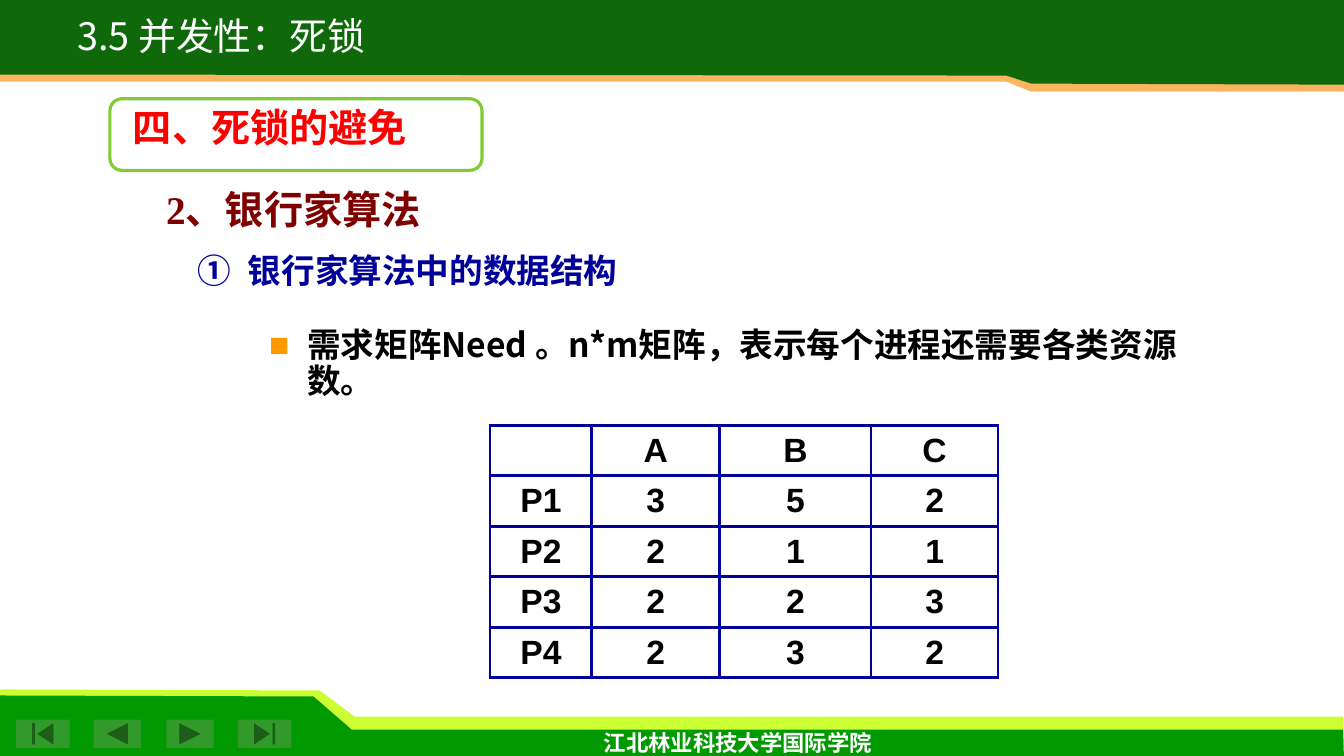
from lxml import etree
from pptx import Presentation
from pptx import util as u
from pptx.dml import color
from pptx.enum import shapes, text
from pptx.oxml import ns

SHAPE = shapes.MSO_SHAPE
SANS = "Noto Sans CJK SC"
TIMES = "Times New Roman"


def paint(part, hue, alpha=None):
    """Fill a shape, cell or font with a hex colour, with opacity in percent."""
    part.fill.solid()
    part.fill.fore_color.rgb = color.RGBColor.from_string(hue)
    if alpha:
        tint = part.element.spPr.find(ns.qn("a:solidFill"))[0]
        etree.SubElement(tint, ns.qn("a:alpha"), val=str(alpha * 1000))


def write(frame, words, hue, font, para=None):
    """Write one formatted paragraph in a frame and return its properties."""
    line = frame.paragraphs[0]
    for key, val in (para or {}).items():
        setattr(line, key, val)
    run = line.add_run()
    run.text = words
    for key, val in font.items():
        setattr(run.font, key, val)
    paint(run.font, hue)
    east = etree.SubElement(run.font.fill._xPr, ns.qn("a:ea"))
    east.set("typeface", SANS)
    latin = run.font.fill._xPr.find(ns.qn("a:latin"))
    latin.addnext(east)
    return line._p.get_or_add_pPr()


deck = Presentation()
deck.slide_width, deck.slide_height = u.Inches(13.33), u.Inches(7.5)
slide = deck.slides.add_slide(deck.slide_layouts[5])
items = slide.shapes

# Bands at the top and bottom, with the navigation buttons between them
base = [
    ("CCFF33", None, [(0.01, 7.4), (13.33, 7.4), (13.32, 7.11), (3.52, 7.11),
                      (3.17, 6.85), (0, 6.84)]),
    ("009900", None, [(0, 7.53), (13.33, 7.51), (13.32, 7.24), (3.49, 7.24),
                      (3.11, 6.91), (0, 6.9)]),
]
head = [
    ("FBB561", None, [(13.33, -0.03), (0, -0.03), (0, 0.81), (9.98, 0.81),
                      (10.23, 0.91), (13.33, 0.91)]),
    ("0F690B", None, [(13.33, -0.03), (0, -0.03), (0, 0.74), (9.98, 0.75),
                      (10.23, 0.83), (13.33, 0.84)]),
    ("FFFFFF", 30, [(10.06, 0.91), (13.2, 0.91), (13.19, 0.96),
                    (10.19, 0.97)]),
]
for hue, alpha, spots in base + head:
    dots = [(u.Inches(x), u.Inches(y)) for x, y in spots]
    pen = items.build_freeform(*dots[0])
    pen.add_line_segments(dots[1:], close=True)
    band = pen.convert_to_shape()
    band.shadow.inherit = False
    band.line.fill.background()
    paint(band, hue, alpha)

for kind, left, wide in [
    (SHAPE.ACTION_BUTTON_BEGINNING, 0.16, 0.53),
    (SHAPE.ACTION_BUTTON_BACK_OR_PREVIOUS, 0.93, 0.47),
    (SHAPE.ACTION_BUTTON_FORWARD_OR_NEXT, 1.65, 0.47),
    (SHAPE.ACTION_BUTTON_END, 2.36, 0.53),
]:
    key = items.add_shape(kind, u.Inches(left), u.Inches(7.14),
                          u.Inches(wide), u.Inches(0.28))
    key.shadow.inherit = False
    key.line.fill.background()
    paint(key, "329A2A")

# Frame of the section heading
frame = items.add_shape(SHAPE.ROUNDED_RECTANGLE, u.Inches(1.09),
                        u.Inches(0.98), u.Inches(3.69), u.Inches(0.71))
frame.shadow.inherit = False
paint(frame, "FFFFFF", 90)
paint(frame.line, "80CB35")
frame.line.width = u.Pt(2.25)

# Text blocks: place, words, colour, size, font, wrap, spacing, indent, bullet
tight = {"line_spacing": 0.8, "space_before": u.Pt(5.6)}
loose = {"line_spacing": 0.9, "space_before": u.Pt(4.8)}
square = [("buClr", {}), ("buFont", {"typeface": "Arial"}),
          ("buChar", {"char": "■"})]
circle = [("buFont", {"typeface": "Arial"}),
          ("buAutoNum", {"type": "circleNumDbPlain"})]
for spot, words, hue, size, face, wrap, para, dent, marks in [
    ((5.89, 7.18, 2.89, 0.37), "江北林业科技大学国际学院", "FFFFFF", 16,
     "Open Sans", False, {}, 0, []),
    ((1.22, 1.07, 3.63, 0.48), "四、死锁的避免", "FF0000", 28,
     TIMES, True, tight, 0.38, []),
    ((1.55, 1.88, 3.39, 0.48), "2、银行家算法", "800000", 28,
     TIMES, True, tight, 0.38, []),
    ((1.86, 2.43, 4.38, 0.5), "银行家算法中的数据结构", "000099", 24,
     SANS, False, {}, 0.5, circle),
    ((2.57, 3.21, 9.37, 0.87),
     "需求矩阵Need 。n*m矩阵，表示每个进程还需要各类资源数。", "000000", 24,
     SANS, True, loose, 0.38, square),
]:
    box = items.add_textbox(*map(u.Inches, spot)).text_frame
    box.word_wrap = wrap
    font = {"size": u.Pt(size), "name": face, "bold": True}
    prop = write(box, words, hue, font, para)
    if dent:
        prop.set("marL", str(u.Inches(dent)))
        prop.set("indent", str(-u.Inches(dent)))
    for tag, vals in marks:
        mark = etree.SubElement(prop, ns.qn("a:" + tag), vals)
        if tag == "buClr":
            etree.SubElement(mark, ns.qn("a:srgbClr"), val="FF9900")

# Need matrix
need = [["", "A", "B", "C"],
        ["P1", "3", "5", "2"],
        ["P2", "2", "1", "1"],
        ["P3", "2", "2", "3"],
        ["P4", "2", "3", "2"]]
grid = items.add_table(5, 4, u.Inches(4.86), u.Inches(4.22),
                       u.Inches(5.04), u.Inches(2.5)).table
for col, wide in zip(grid.columns, [1.01, 1.27, 1.5, 1.26]):
    col.width = u.Inches(wide)
bold = {"size": u.Pt(24), "name": "Arial", "bold": True}
for r, row in enumerate(need):
    for c, words in enumerate(row):
        cell = grid.cell(r, c)
        cell.vertical_anchor = text.MSO_ANCHOR.MIDDLE
        if words:
            write(cell.text_frame, words, "000000", bold,
                  {"alignment": text.PP_ALIGN.CENTER})
        prop = cell._tc.get_or_add_tcPr()
        for side in ("lnL", "lnR", "lnT", "lnB"):
            edge = etree.SubElement(prop, ns.qn("a:" + side),
                                    w=str(u.Pt(2.25)))
            ink = etree.SubElement(edge, ns.qn("a:solidFill"))
            etree.SubElement(ink, ns.qn("a:srgbClr"), val="000099")
        paint(cell, "FFFFFF")

# Title, in front of the top band
title = items.title
spot = {"left": 0.45, "top": 0.16, "width": 3.49, "height": 0.47}
for key, val in spot.items():
    setattr(title, key, u.Inches(val))
title.text_frame.word_wrap = False
title.text_frame.vertical_anchor = text.MSO_ANCHOR.TOP
write(title.text_frame, "3.5 并发性：死锁", "FFFFFF",
      {"size": u.Pt(27), "name": SANS, "bold": False},
      {"alignment": text.PP_ALIGN.CENTER, "line_spacing": 0.8})
items.element.append(title.element)

deck.save("out.pptx")
